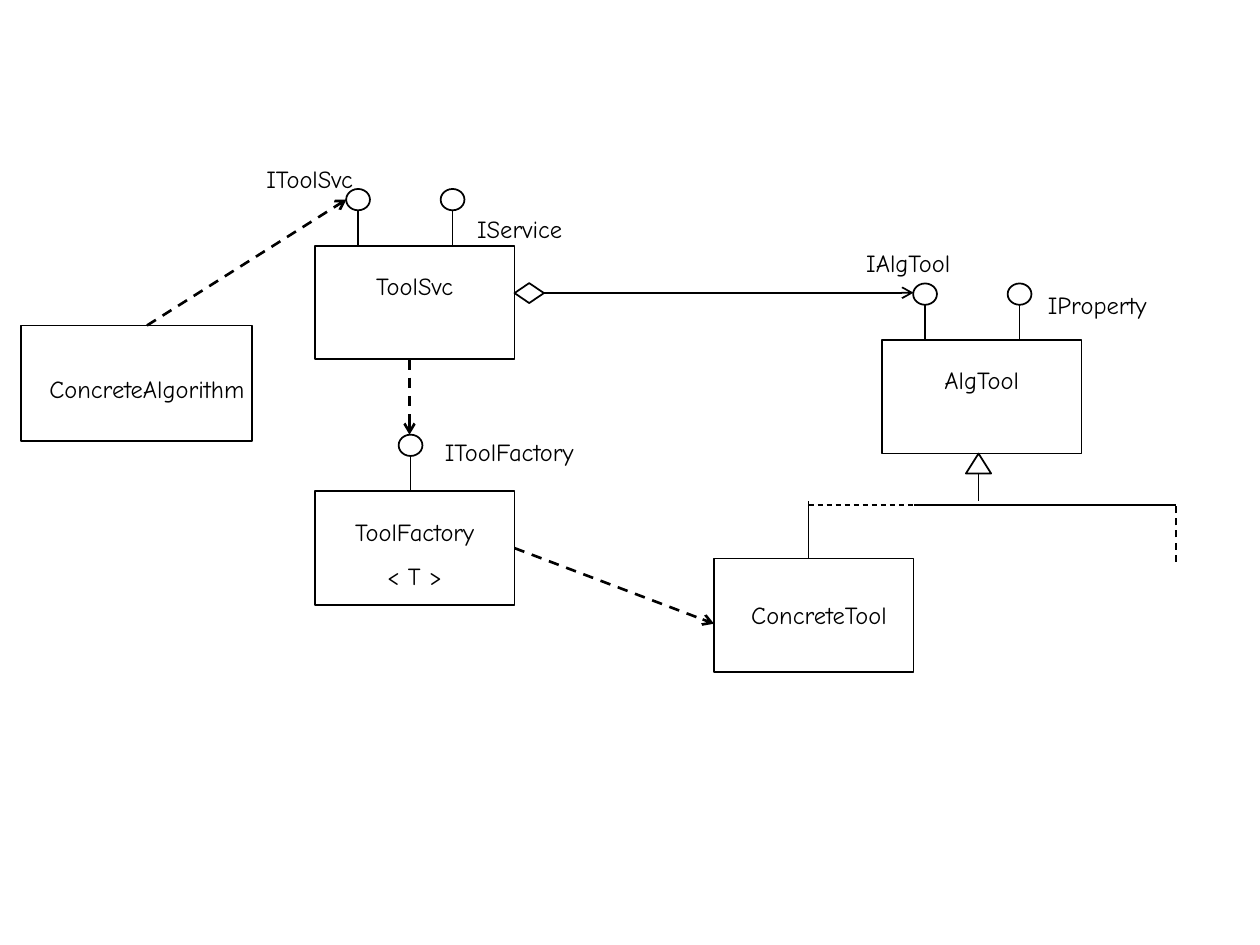
from pptx import Presentation
from pptx.util import Pt
from pptx.dml.color import RGBColor
from pptx.enum.dml import MSO_LINE as Dash
from pptx.enum.shapes import MSO_CONNECTOR as Link, MSO_SHAPE as Kind
from pptx.enum.text import MSO_AUTO_SIZE as Fit, PP_ALIGN as Align
from pptx.oxml.ns import qn
from lxml.etree import SubElement

INK = "000000"
FONT = "Comic Neue"
WIDE, HIGH = 114, 64.8
BOXES = [
    (12, 186, 132, 66),
    (180, 140.4, WIDE, HIGH),
    (180, 280.8, WIDE, HIGH),
    (504, 194.4, WIDE, HIGH),
    (408, 319.2, WIDE, HIGH),
]
LABELS = [
    ("ConcreteAlgorithm", 12, 210, 144),
    ("IToolSvc", 114, 90, 126),
    ("IService", 234, 118.8, 126),
    ("ToolSvc", 186, 151.2, 102),
    ("IToolFactory", 228, 246, 126),
    ("ToolFactory\n< T >", 186, 291.6, 102),
    ("IAlgTool", 456, 138, 126),
    ("IProperty", 564, 162, 126),
    ("AlgTool", 510, 205.2, 102),
    ("ConcreteTool", 402, 339.6, 132),
]
PORTS = [(204.6, 140.4), (258.6, 140.4), (234.6, 280.8),
         (528.6, 194.4), (582.6, 194.4)]
SIGNS = [
    (Kind.ISOSCELES_TRIANGLE, 552, 259.2, 14.4, 11.4),
    (Kind.DIAMOND, 294, 161.8, 16.8, 11.4),
]
LINES = [
    (84, 186, 198, 114, 1.5, True, True),
    (234, 205.2, 234, 248.4, 1.5, True, True),
    (294, 313.2, 408, 356.4, 1.5, True, True),
    (310.4, 167.3, 522, 167.3, 1, False, True),
    (559.2, 270.6, 559.2, 286.4, 1, False, False),
    (462, 319.2, 462, 286.4, 1, False, False),
    (522, 288.6, 672, 288.6, 1, False, False),
    (672, 321, 672, 288.6, 1, True, False),
    (462, 288.6, 522, 288.6, 0.75, True, False),
]


def paint(hue):
    return RGBColor.from_string(hue)


def draw(shapes, kind, x, y, w, h, turn=0):
    item = shapes.add_shape(kind, Pt(x), Pt(y), Pt(w), Pt(h))
    item.rotation = turn
    item.shadow.inherit = False
    item.fill.background()
    item.line.color.rgb = paint(INK)
    item.line.width = Pt(1)


def join(shapes, x1, y1, x2, y2, size=1, dash=False, arrow=False):
    link = shapes.add_connector(Link.STRAIGHT, Pt(x1), Pt(y1), Pt(x2), Pt(y2))
    link.line.color.rgb = paint(INK)
    link.line.width = Pt(size)
    if dash:
        link.line.dash_style = Dash.DASH
    if arrow:
        SubElement(link.line._get_or_add_ln(), qn("a:tailEnd"), type="arrow")
    SubElement(link._element.spPr, qn("a:effectLst"))


def label(shapes, words, x, y, w):
    high = 24.5 + 25.2 * words.count("\n")
    frame = shapes.add_textbox(Pt(x), Pt(y), Pt(w), Pt(high)).text_frame
    frame.word_wrap = True
    frame.auto_size = Fit.SHAPE_TO_FIT_TEXT
    frame.text = words
    for para in frame.paragraphs:
        para.alignment = Align.CENTER
        para.space_before = Pt(8.8)
        for run in para.runs:
            run.font.name = FONT
            run.font.size = Pt(14)
            run.font.color.rgb = paint(INK)


def port(shapes, x, base):
    w, h = 12.2, 13.6
    draw(shapes, Kind.OVAL, x - w / 2, base - 26.3 - h / 2, w, h, 90)
    join(shapes, x, base - 20.2, x, base)


def main():
    """Build the class diagram slide."""
    deck = Presentation()
    deck.slide_width, deck.slide_height = Pt(720), Pt(540)
    shapes = deck.slides.add_slide(deck.slide_layouts[6]).shapes
    for box in BOXES:
        draw(shapes, Kind.RECTANGLE, *box)
    for spot in PORTS:
        port(shapes, *spot)
    for sign in SIGNS:
        draw(shapes, *sign)
    for line in LINES:
        join(shapes, *line)
    for text in LABELS:
        label(shapes, *text)
    deck.save("out.pptx")


if __name__ == "__main__":
    main()
